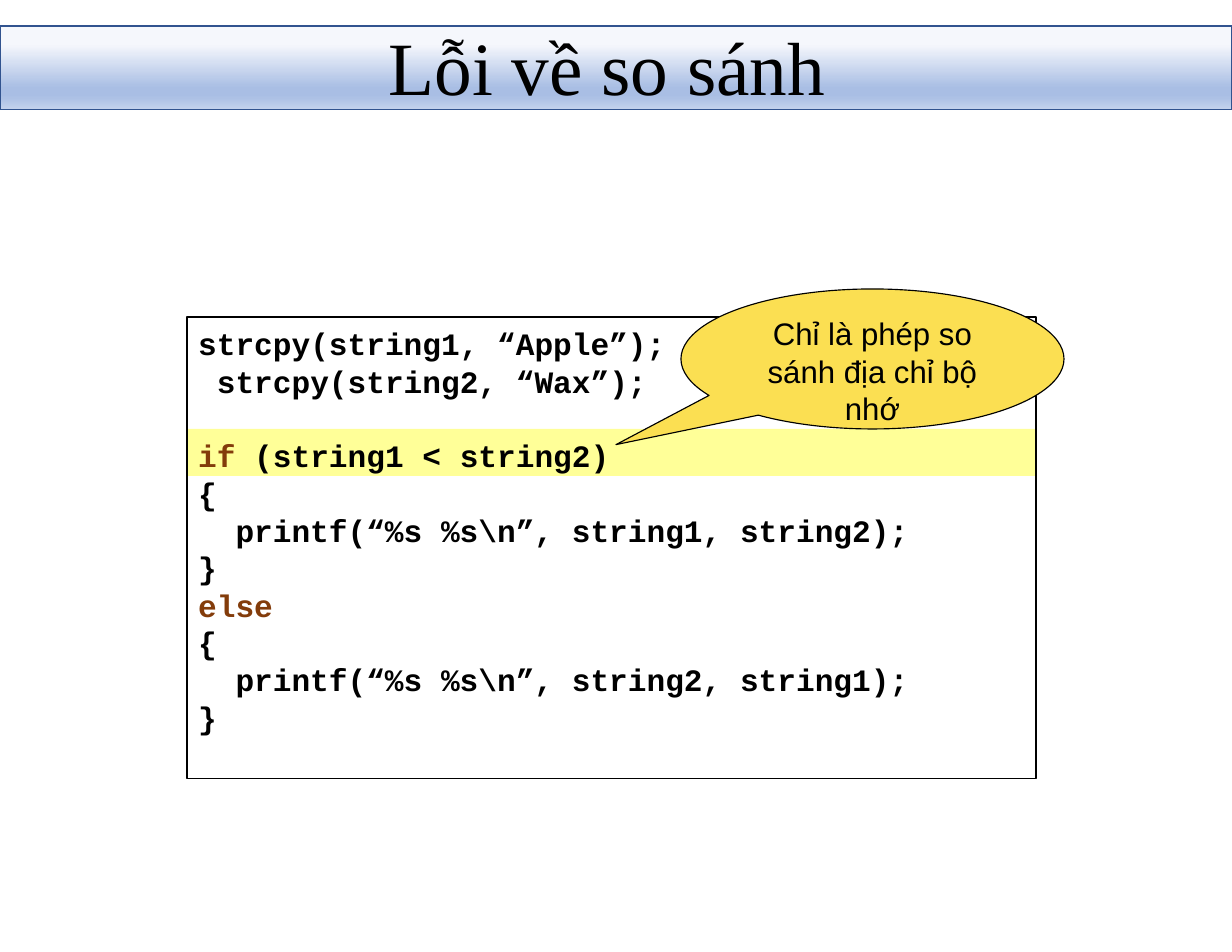
from lxml.etree import SubElement
from pptx import Presentation
from pptx.dml.color import RGBColor
from pptx.enum.shapes import MSO_SHAPE
from pptx.enum.text import MSO_ANCHOR, PP_ALIGN
from pptx.oxml.ns import qn
from pptx.util import Inches, Pt

BLACK, KEYWORD = "000000", "833C0B"
CHAR_WIDTH = 1 / 6  # one 20 pt Courier New character, in inches
BAR_STOPS = [(0, "F5F7FC"), (22, "F5F7FC"), (74, "A9BEE4"), (83, "A9BEE4"), (100, "C5D3ED")]

# Each line: indent in characters, then (text, colour) runs
COPY_LINES = [
    (0, [("strcpy(string1, “Apple”);", BLACK)]),
    (1, [("strcpy(string2, “Wax”);", BLACK)]),
]
COMPARE_LINES = [
    (0, [("if", KEYWORD), (" (string1 < string2)", BLACK)]),
    (0, [("{", BLACK)]),
    (2, [("printf(“%s %s\\n”, string1, string2);", BLACK)]),
    (0, [("}", BLACK)]),
    (0, [("else", KEYWORD)]),
    (0, [("{", BLACK)]),
    (2, [("printf(“%s %s\\n”, string2, string1);", BLACK)]),
    (0, [("}", BLACK)]),
]


def rgb(value):
    return RGBColor.from_string(value)


def inches(*box):
    return [Inches(v) for v in box]


def add_run(p, text, font, size, color=BLACK, bold=False):
    r = p.add_run()
    r.text = text
    r.font.name, r.font.size, r.font.bold = font, Pt(size), bold
    r.font.color.rgb = rgb(color)


def set_frame(tf, top=0.01, anchor=MSO_ANCHOR.TOP):
    tf.word_wrap = True
    tf.vertical_anchor = anchor
    tf.margin_left = tf.margin_right = tf.margin_bottom = 0
    tf.margin_top = Inches(top)


def add_shape(s, kind, box, fill=None, line=None, width=1):
    sp = s.shapes.add_shape(kind, *inches(*box))
    sp.shadow.inherit = False
    if fill:
        sp.fill.solid()
        sp.fill.fore_color.rgb = rgb(fill)
    else:
        sp.fill.background()
    if line:
        sp.line.color.rgb = rgb(line)
        sp.line.width = Pt(width)
    else:
        sp.line.fill.background()
    return sp


def add_title(s, box, text, text_left, text_width):
    x, y, w, h = box
    bar = add_shape(s, MSO_SHAPE.RECTANGLE, box, line="31538F")
    bar.fill.gradient()
    bar.fill.gradient_angle = 270
    stops = bar._element.spPr.find(qn("a:gradFill")).find(qn("a:gsLst"))
    stops.clear()
    for position, color in BAR_STOPS:
        stop = SubElement(stops, qn("a:gs"), pos=str(position * 1000))
        SubElement(stop, qn("a:srgbClr"), val=color)

    title = s.shapes.title
    title.left, title.top, title.width, title.height = inches(text_left, y - 0.03, text_width, h + 0.01)
    s.shapes._spTree.append(title._element)  # in front of the bar
    set_frame(title.text_frame, anchor=MSO_ANCHOR.MIDDLE)
    p = title.text_frame.paragraphs[0]
    p.alignment = PP_ALIGN.LEFT
    add_run(p, text, "Times New Roman", 48.4)


def add_code(s, box, lines):
    tf = s.shapes.add_textbox(*inches(*box)).text_frame
    set_frame(tf, top=0.06)
    for i, (indent, runs) in enumerate(lines):
        p = tf.add_paragraph() if i else tf.paragraphs[0]
        p._p.get_or_add_pPr().set("marL", str(Inches(0.01 + indent * CHAR_WIDTH)))
        p.line_spacing = Pt(24)
        for text, color in runs:
            add_run(p, text, "Courier New", 20, color, bold=True)


def add_code_panel(s, box):
    x, y, w, h = box
    add_shape(s, MSO_SHAPE.RECTANGLE, (x, y + 1, w, 0.42), fill="FFFF98")
    add_shape(s, MSO_SHAPE.RECTANGLE, box, line=BLACK)
    add_code(s, (x + 0.09, y + 0.01, 4.2, 0.7), COPY_LINES)
    add_code(s, (x + 0.09, y + 1.01, 6.36, 2.7), COMPARE_LINES)


def add_callout(s, box, tip, text):
    x, y, w, h = box
    bubble = add_shape(s, MSO_SHAPE.OVAL_CALLOUT, box, "FBDF52", BLACK, 0.75)
    bubble.adjustments[0] = (tip[0] - x - w / 2) / w
    bubble.adjustments[1] = (tip[1] - y - h / 2) / h
    tf = s.shapes.add_textbox(*inches(x + 0.76, y + 0.2, 1.9, 1.03)).text_frame
    set_frame(tf, top=0.03)
    p = tf.paragraphs[0]
    p.alignment = PP_ALIGN.CENTER
    p.line_spacing = Pt(24)
    add_run(p, text, "Arial", 20)


def main():
    prs = Presentation()
    prs.slide_width, prs.slide_height = inches(11, 8.5)
    s = prs.slides.add_slide(prs.slide_layouts[5])
    add_title(s, (0, 0.23, 11, 0.75), "Lỗi về so sánh", 3.47, 3.97)
    add_code_panel(s, (1.67, 2.83, 7.58, 4.12))
    add_callout(s, (6.08, 2.58, 3.42, 1.25), (5.5, 3.97), "Chỉ là phép so sánh địa chỉ bộ nhớ")
    prs.save("out.pptx")


if __name__ == "__main__":
    main()
